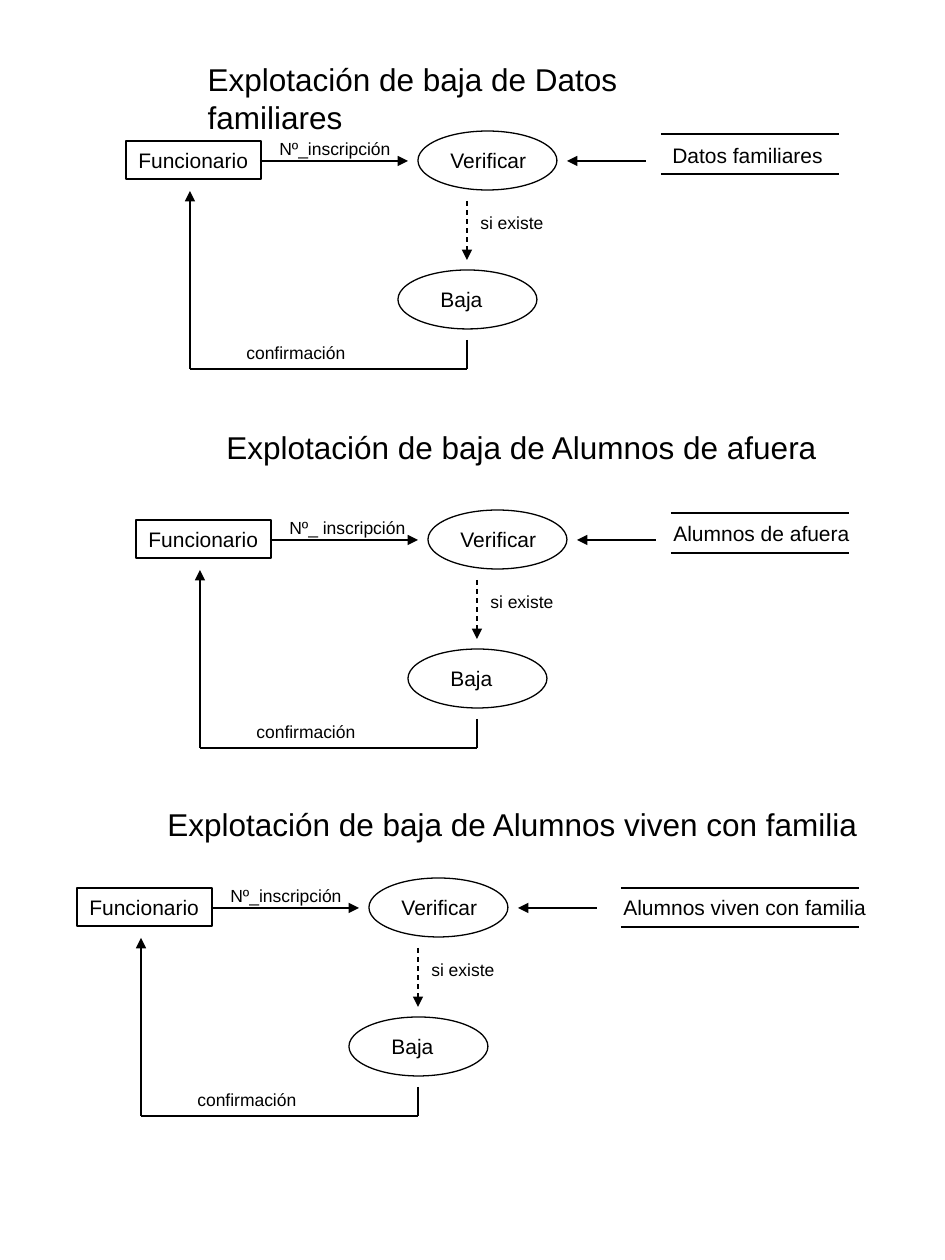
import pptx
import pptx.dml.color
import pptx.enum.dml
import pptx.enum.shapes
import pptx.enum.text
import pptx.oxml
import pptx.oxml.ns
import pptx.util

PX = 914400 // 126
COLORS = {"ink": "000000"}
SHAPES = pptx.enum.shapes.MSO_SHAPE

# Title and diagram corners, and the data store, of each process
PROCESSES = [
    dict(title="Explotación de baja de Datos familiares", title_box=(195, 54, 578, 50),
         corner=(126, 131), field="Nº_inscripción", store="Datos familiares",
         store_box=(535, 3, 178, 40), store_label=(534, 5, 175, 38)),
    dict(title="Explotación de baja de Alumnos de afuera", title_box=(214, 422, 617, 50),
         corner=(136, 510), field="Nº_ inscripción", store="Alumnos de afuera",
         store_box=(535, 3, 178, 40), store_label=(525, 4, 202, 38)),
    dict(title="Explotación de baja de Alumnos viven con familia", title_box=(155, 799, 717, 50),
         corner=(77, 878), field="Nº_inscripción", store="Alumnos viven con familia",
         store_box=(544, 10, 238, 39), store_label=(534, 10, 267, 38)),
]


def ink():
    return pptx.dml.color.RGBColor.from_string(COLORS["ink"])


def emu(*lengths):
    return [pptx.util.Emu(n * PX) for n in lengths]


def write(sp, text, size, wrap=False):
    tf = sp.text_frame
    tf.word_wrap = wrap
    tf.auto_size = pptx.enum.text.MSO_AUTO_SIZE.NONE
    tf.vertical_anchor = pptx.enum.text.MSO_ANCHOR.TOP
    p = tf.paragraphs[0]
    p.text = text
    p.alignment = pptx.enum.text.PP_ALIGN.LEFT
    p.font.name = "Arial"
    p.font.size = pptx.util.Pt(size)
    p.font.color.rgb = ink()


def add_label(s, x, y, w, h, text, size, wrap=False):
    write(s.shapes.add_textbox(*emu(x, y, w, h)), text, size, wrap)


def add_outline(s, kind, x, y, w, h):
    sp = s.shapes.add_shape(kind, *emu(x, y, w, h))
    sp.shadow.inherit = False
    sp.fill.background()
    sp.line.color.rgb = ink()
    sp.line.width = pptx.util.Pt(0.75)
    return sp


def add_line(s, x1, y1, x2, y2, arrow=False, dashed=False):
    line = s.shapes.add_connector(
        pptx.enum.shapes.MSO_CONNECTOR.STRAIGHT, *emu(x1, y1, x2, y2))
    line.line.color.rgb = ink()
    line.line.width = pptx.util.Pt(0.75)
    if dashed:
        line.line.dash_style = pptx.enum.dml.MSO_LINE.DASH
    sp_pr = line._element.spPr
    if arrow:
        tail = pptx.oxml.parse_xml(
            f'<a:tailEnd {pptx.oxml.ns.nsdecls("a")} type="triangle"/>')
        sp_pr.find(pptx.oxml.ns.qn("a:ln")).append(tail)
    sp_pr.append(pptx.oxml.parse_xml(f'<a:effectLst {pptx.oxml.ns.nsdecls("a")}/>'))


def add_title(s, box, text):
    """The first title fills the placeholder; later ones are text boxes."""
    title = s.shapes.title
    if title.has_text_frame and not title.text_frame.text:
        title.left, title.top, title.width, title.height = emu(*box)
        write(title, text, 18)
    else:
        add_label(s, *box, text, 18)


def add_store(s, x, y, box, label_box, text):
    left, top, width, height = box
    for edge in (top, top + height):
        add_line(s, x + left, y + edge, x + left + width, y + edge)
    lx, ly, lw, lh = label_box
    add_label(s, x + lx, y + ly, lw, lh, text, 12)


def add_diagram(s, x, y, process):
    clerk = add_outline(s, SHAPES.RECTANGLE, x, y + 10, 135, 38)
    write(clerk, "Funcionario", 12)

    for name, dx, dy, inset, width in (("Verificar", 292, 0, 20, 110),
                                       ("Baja", 272, 139, 30, 79)):
        add_outline(s, SHAPES.OVAL, x + dx, y + dy, 139, 59)
        add_label(s, x + dx + inset, y + dy + 10, width, 38, name, 12, wrap=True)

    for text, dx, dy, width in ((process["field"], 141, 1, 137),
                                ("si existe", 342, 75, 88),
                                ("confirmación", 108, 205, 123)):
        add_label(s, x + dx, y + dy, width, 34, text, 10)

    add_line(s, x + 134, y + 30, x + 282, y + 30, arrow=True)
    add_line(s, x + 520, y + 30, x + 441, y + 30, arrow=True)
    add_line(s, x + 341, y + 70, x + 341, y + 129, arrow=True, dashed=True)

    add_line(s, x + 341, y + 209, x + 341, y + 238)
    add_line(s, x + 341, y + 238, x + 64, y + 238)
    add_line(s, x + 64, y + 238, x + 64, y + 60, arrow=True)

    add_store(s, x, y, process["store_box"], process["store_label"], process["store"])


def main():
    prs = pptx.Presentation()
    prs.slide_width = pptx.util.Inches(7.5)
    prs.slide_height = pptx.util.Inches(10)
    s = prs.slides.add_slide(prs.slide_layouts.get_by_name("Title Only"))
    for process in PROCESSES:
        add_title(s, process["title_box"], process["title"])
        add_diagram(s, *process["corner"], process)
    prs.save("out.pptx")


if __name__ == "__main__":
    main()
